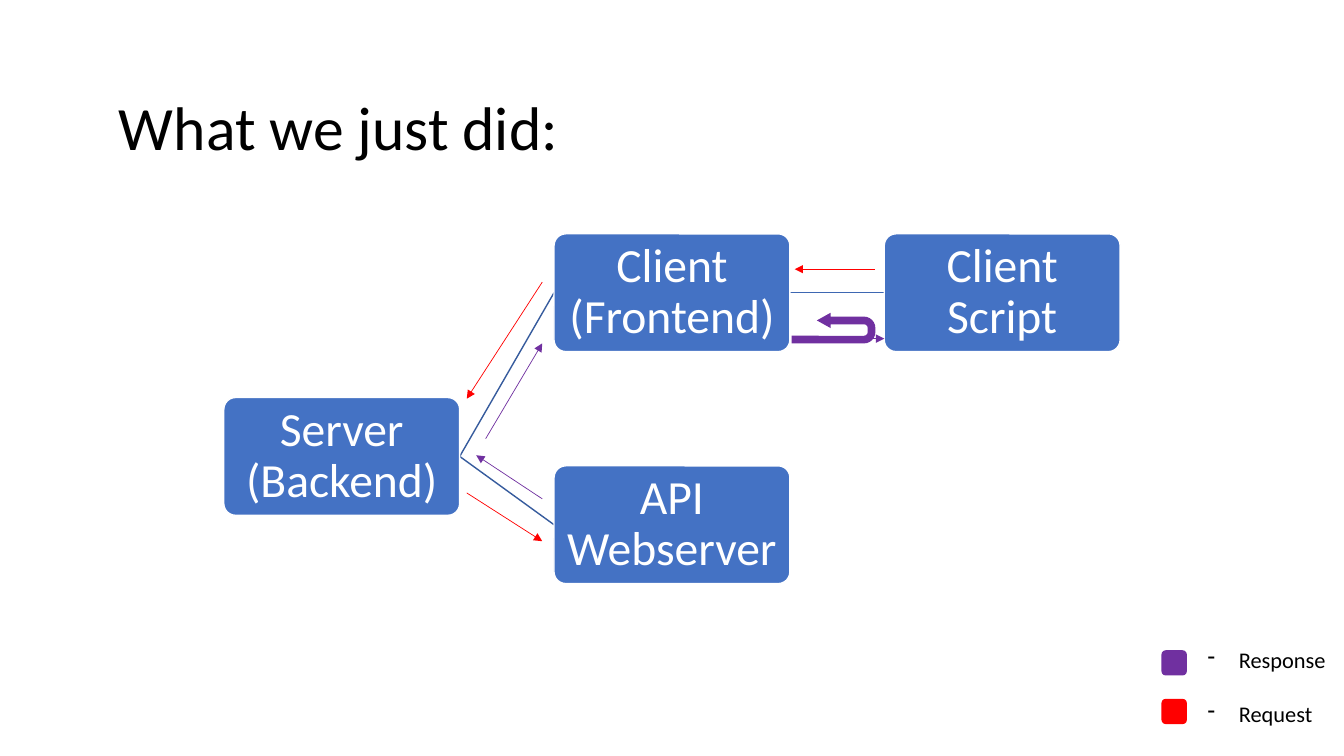
from collections import namedtuple

from lxml import etree
from pptx import Presentation
from pptx.dml.color import RGBColor
from pptx.enum.shapes import MSO_CONNECTOR, MSO_SHAPE
from pptx.enum.text import MSO_ANCHOR, MSO_AUTO_SIZE, PP_ALIGN
from pptx.oxml.ns import qn
from pptx.util import Inches, Pt

ROUNDED, UTURN = MSO_SHAPE.ROUNDED_RECTANGLE, MSO_SHAPE.U_TURN_ARROW
STRAIGHT = MSO_CONNECTOR.STRAIGHT
TOP, MIDDLE = MSO_ANCHOR.TOP, MSO_ANCHOR.MIDDLE
LEFT, CENTER = PP_ALIGN.LEFT, PP_ALIGN.CENTER
NO_FIT, GROW = MSO_AUTO_SIZE.NONE, MSO_AUTO_SIZE.SHAPE_TO_FIT_TEXT

FONT = "Calibri"
BLACK = RGBColor(0x00, 0x00, 0x00)
WHITE = RGBColor(0xFF, 0xFF, 0xFF)
NODE_BLUE = RGBColor(0x44, 0x72, 0xC4)
LINK_BLUE = RGBColor(0x36, 0x5B, 0x9D)
PALE_LINK = RGBColor(0x3E, 0x67, 0xB2)
REQUEST = RGBColor(0xFF, 0x00, 0x00)
RESPONSE = RGBColor(0x70, 0x30, 0xA0)

Box = namedtuple("Box", "left top width height")


class Grid:
    """Turns columns and rows of a box into slide lengths."""

    def __init__(self, box, columns, rows):
        self.box = box
        self.column, self.row = box.width / columns, box.height / rows

    def point(self, x, y):
        return (Inches(self.box.left + x * self.column),
                Inches(self.box.top + y * self.row))

    def area(self, x, y, width, height):
        return (*self.point(x, y),
                Inches(width * self.column), Inches(height * self.row))


def write(shape, lines, size, color, align=LEFT, anchor=TOP, inset=None,
          spacing=None, gap=0, fit=NO_FIT):
    frame = shape.text_frame
    frame.word_wrap, frame.auto_size = True, fit
    frame.vertical_anchor = anchor
    if inset is not None:
        frame.margin_left = frame.margin_right = Inches(inset)
        frame.margin_top = frame.margin_bottom = Inches(inset)
    for index, line in enumerate(lines):
        para = frame.add_paragraph() if index else frame.paragraphs[0]
        para.alignment, para.line_spacing = align, spacing
        para.space_before = Pt(gap if index else 0)
        span = para.add_run()
        span.text = line
        span.font.name, span.font.size = FONT, Pt(size)
        span.font.color.rgb = color
    return frame


def add_filled(page, kind, area, fill, outline=None):
    shape = page.shapes.add_shape(kind, *area)
    shape.shadow.inherit = False
    shape.fill.solid()
    shape.fill.fore_color.rgb = fill
    if outline is None:
        shape.line.fill.background()
    else:
        shape.line.color.rgb, shape.line.width = outline, Pt(1)
    return shape


def add_line(page, start, end, color, width, arrow=False):
    line = page.shapes.add_connector(STRAIGHT, *start, *end)
    line.line.color.rgb, line.line.width = color, Pt(width)
    if arrow:
        etree.SubElement(line.line._get_or_add_ln(), qn("a:tailEnd"), type="triangle")
    etree.SubElement(line.element.spPr, qn("a:effectLst"))


def add_title(page, box, text):
    title = page.shapes.title
    title.left, title.top, title.width, title.height = map(Inches, box)
    write(title, [text], 44, BLACK, anchor=MIDDLE, spacing=0.9)


def add_diagram(page, box):
    # One column and one row are the size of a node
    grid = Grid(box, 3.8, 2.97)
    server, frontend, script, api = (0, 1.39), (1.4, 0), (2.8, 0), (1.4, 1.97)

    # Plain links from right edge to left edge
    for (x, y), (end_x, end_y), color in (
            (server, frontend, LINK_BLUE),
            (frontend, script, PALE_LINK),
            (server, api, LINK_BLUE)):
        add_line(page, grid.point(x + 1, y + 0.5),
                 grid.point(end_x, end_y + 0.5), color, 1)

    # Nodes
    for place, label in ((server, "Server (Backend)"),
                         (frontend, "Client (Frontend)"),
                         (script, "Client Script"),
                         (api, "API Webserver")):
        node = add_filled(page, ROUNDED, grid.area(*place, 1, 1), NODE_BLUE, WHITE)
        node.adjustments[0] = 0.1
        write(node, [label], 34, WHITE, align=CENTER, anchor=MIDDLE,
              inset=0.02, spacing=0.9)

    # Request and response arrows
    for start, end, color in (
            ((2.76, 0.3), (2.42, 0.3), REQUEST),
            ((1.35, 0.41), (1.03, 1.4), REQUEST),
            ((1.03, 2.2), (1.35, 2.61), REQUEST),
            ((1.35, 2.25), (1.07, 1.88), RESPONSE),
            ((1.11, 1.74), (1.35, 0.93), RESPONSE),
            ((2.49, 0.89), (2.8, 0.89), RESPONSE)):
        add_line(page, grid.point(*start), grid.point(*end), color, 0.5, arrow=True)

    # Response turned back to the frontend
    turn = add_filled(page, UTURN, grid.area(2.52, 0.445, 0.13, 0.71), RESPONSE)
    for index, value in enumerate((0.25, 0.25, 0.45, 0.37, 0.7)):
        turn.adjustments[index] = value
    turn.rotation = 90
    turn.element.spPr.get_or_add_xfrm().set("flipH", "1")


def add_legend(page, box):
    grid = Grid(box, 1, 1)
    entries = (("Response", RESPONSE), ("Request", REQUEST))

    # Colour keys
    for index, (_, color) in enumerate(entries):
        area = grid.area(0, 0.1 + 0.53 * index, 0.14, 0.275)
        add_filled(page, ROUNDED, area, color)

    # Dashed list
    labels = page.shapes.add_textbox(*grid.area(0.2, 0, 0.8, 1))
    frame = write(labels, [name for name, _ in entries], 16, BLACK,
                  gap=19.5, fit=GROW)
    for para in frame.paragraphs:
        props = para._p.get_or_add_pPr()
        props.set("marL", str(Inches(0.31)))
        props.set("indent", str(-Inches(0.31)))
        etree.SubElement(props, qn("a:buFontTx"))
        etree.SubElement(props, qn("a:buChar"), char="-")


deck = Presentation()
deck.slide_width, deck.slide_height = Inches(13.33), Inches(7.5)
page = deck.slides.add_slide(deck.slide_layouts[5])
add_title(page, Box(1.08, 0.57, 11.5, 1.45), "What we just did:")
add_diagram(page, Box(2.22, 2.32, 8.89, 3.47))
add_legend(page, Box(11.52, 6.36, 1.8, 0.91))
deck.save("out.pptx")
